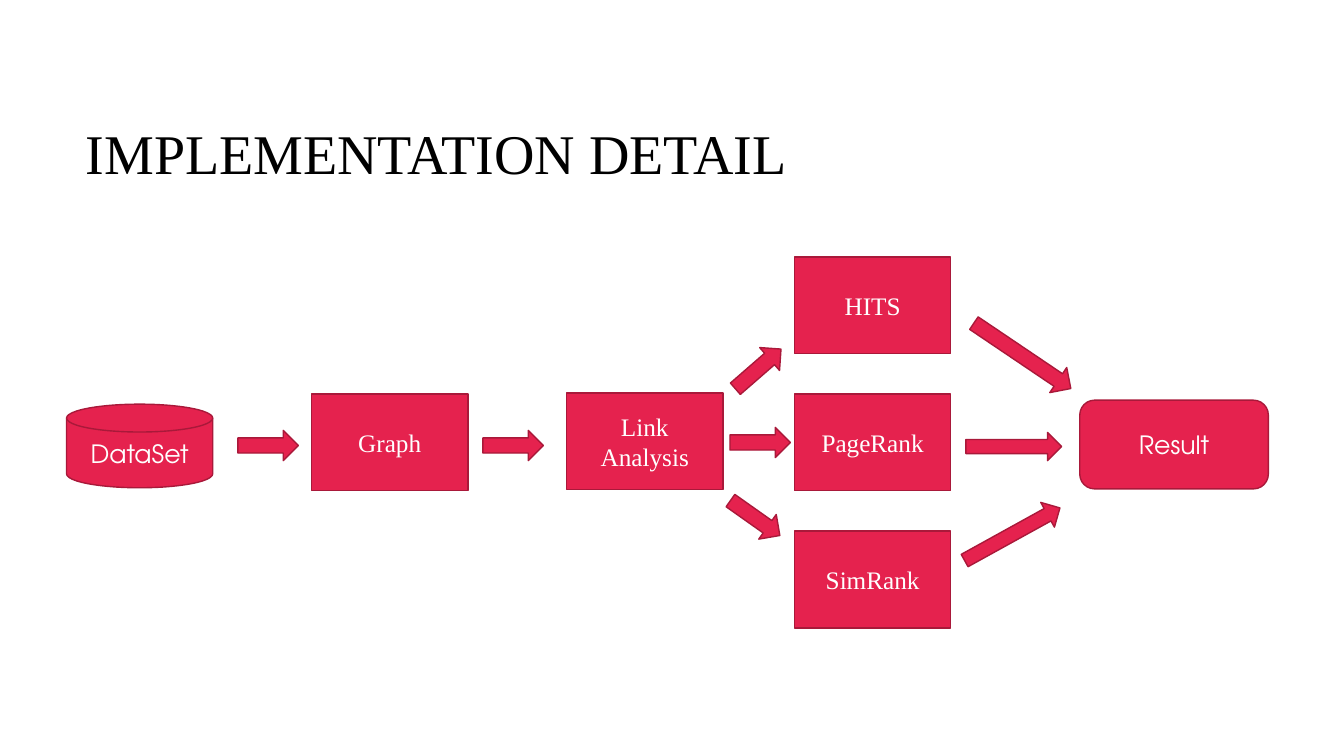
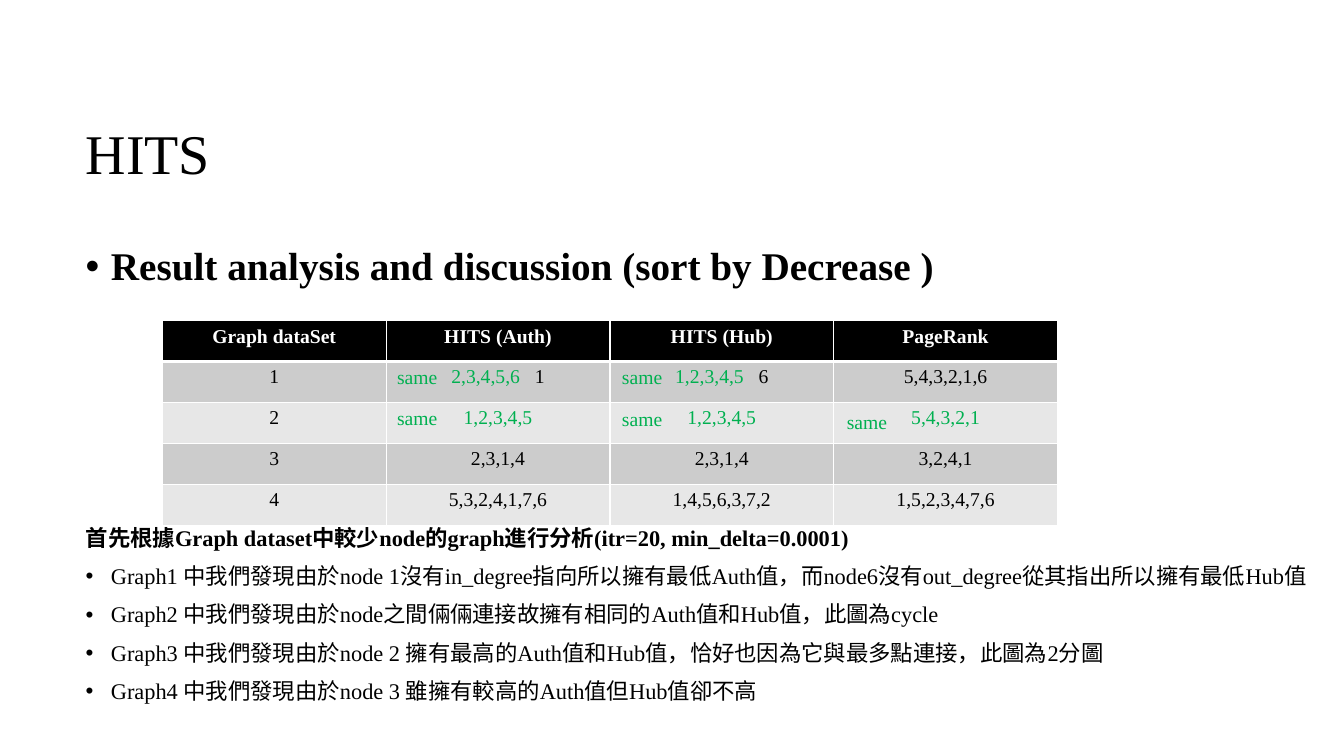
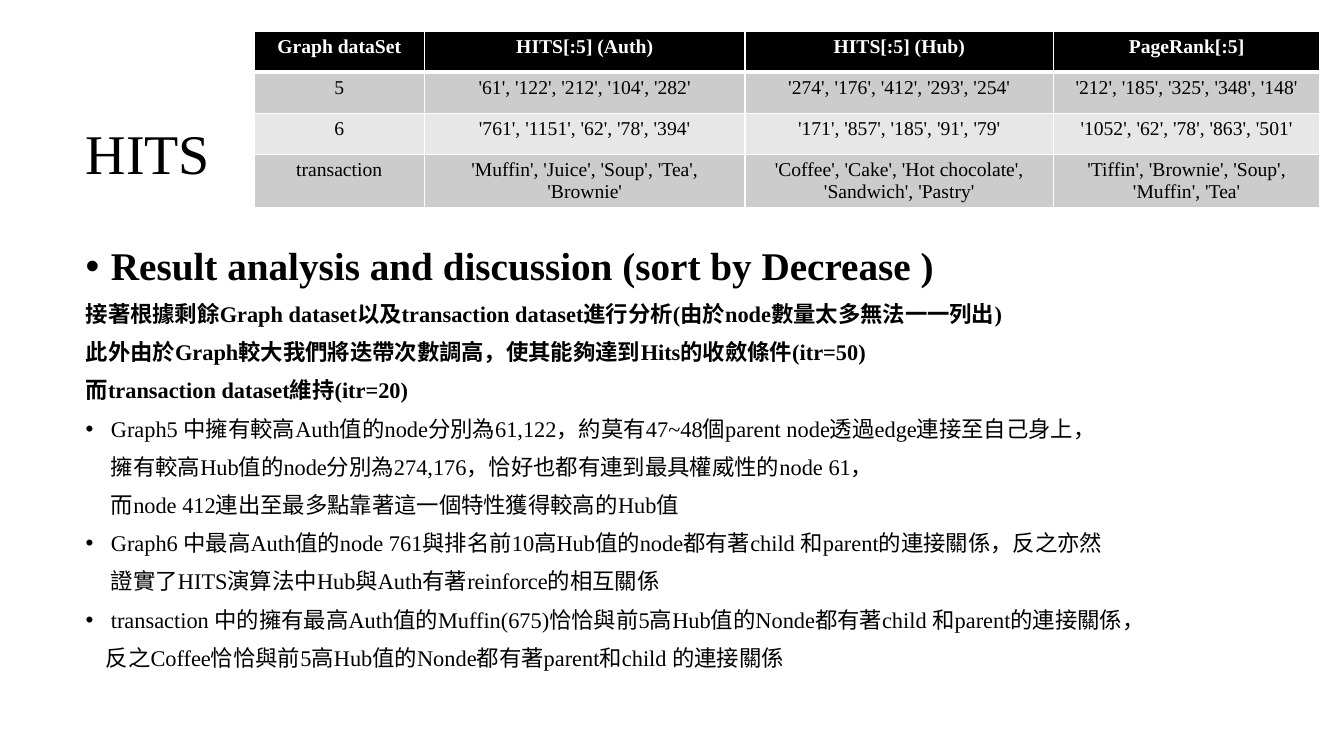
from lxml.etree import SubElement
from pptx import Presentation
from pptx.dml.color import RGBColor
from pptx.enum.shapes import MSO_SHAPE
from pptx.enum.text import MSO_ANCHOR, MSO_AUTO_SIZE, PP_ALIGN
from pptx.oxml.ns import qn
from pptx.util import Inches, Pt

BLACK = RGBColor(0x00, 0x00, 0x00)
WHITE = RGBColor(0xFF, 0xFF, 0xFF)
CRIMSON = RGBColor(0xE5, 0x22, 0x4E)
DARK_CRIMSON = RGBColor(0xA9, 0x19, 0x3A)
GREEN = RGBColor(0x00, 0xB0, 0x50)
BAND_DARK = RGBColor(0xCC, 0xCC, 0xCC)
BAND_LIGHT = RGBColor(0xE7, 0xE7, 0xE7)
SERIF = "Times New Roman"
SANS = "TeX Gyre Adventor"
TITLE_ONLY, TITLE_AND_BODY = 5, 1
HEADING = "Result analysis and discussion (sort by Decrease )"


class Deck:
    """Holds the shared style and the current slide."""

    def __init__(self):
        self.presentation = Presentation()
        self.presentation.slide_width = Inches(13.33)
        self.presentation.slide_height = Inches(7.5)
        self.slide = None

    def format_runs(self, paragraph, size, color=BLACK, bold=False, name=SERIF):
        for run in paragraph.runs:
            run.font.size = Pt(size)
            run.font.name = name
            run.font.bold = bold
            run.font.color.rgb = color

    def place(self, shape, left, top, width, height):
        shape.left, shape.top = Inches(left), Inches(top)
        shape.width, shape.height = Inches(width), Inches(height)

    def add_slide(self, title, layout):
        layouts = self.presentation.slide_layouts
        self.slide = self.presentation.slides.add_slide(layouts[layout])
        shape = self.slide.shapes.title
        self.place(shape, 0.75, 0.85, 11.83, 1.41)
        frame = shape.text_frame
        frame.text = title
        frame.auto_size = MSO_AUTO_SIZE.NONE
        frame.vertical_anchor = MSO_ANCHOR.MIDDLE
        paragraph = frame.paragraphs[0]
        paragraph.alignment = PP_ALIGN.LEFT
        paragraph.line_spacing = 0.9
        self.format_runs(paragraph, 40)

    def add_body(self, lines, gap_after_heading=10):
        """Fill the body with the heading and (kind, text) lines."""
        shape = self.slide.placeholders[1]
        self.place(shape, 0.75, 2.4, 12.58, 4.81)
        frame = shape.text_frame
        frame.auto_size = MSO_AUTO_SIZE.NONE
        frame.vertical_anchor = MSO_ANCHOR.TOP
        indents = {"heading": 0.25, "bullet": 0.25, "lead": 0, "more": 0.25, "last": 0.2}
        for index, (kind, text) in enumerate([("heading", HEADING), *lines]):
            paragraph = frame.paragraphs[0] if index == 0 else frame.add_paragraph()
            paragraph.text = text
            paragraph.alignment = PP_ALIGN.LEFT
            paragraph.line_spacing = 0.9
            paragraph.space_before = Pt(gap_after_heading if index == 1 else 10)
            self.format_runs(paragraph, 28 if kind == "heading" else 16,
                             bold=kind in ("heading", "lead"))
            self.set_bullet(paragraph, indents[kind], kind in ("heading", "bullet"))

    def set_bullet(self, paragraph, indent, bulleted):
        properties = paragraph._p.get_or_add_pPr()
        properties.set("marL", str(Inches(indent)))
        properties.set("indent", str(-Inches(indent) if bulleted else 0))
        if bulleted:
            SubElement(properties, qn("a:buFont"), typeface="Arial")
            SubElement(properties, qn("a:buChar"), char="•")
        else:
            SubElement(properties, qn("a:buNone"))

    def add_block(self, kind, left, top, width, height, text="", name=SERIF, rotation=0):
        shape = self.slide.shapes.add_shape(
            kind, Inches(left), Inches(top), Inches(width), Inches(height))
        shape.shadow.inherit = False
        shape.rotation = rotation
        shape.fill.solid()
        shape.fill.fore_color.rgb = CRIMSON
        shape.line.color.rgb = DARK_CRIMSON
        shape.line.width = Pt(1)
        if text:
            shape.text_frame.text = text
            shape.text_frame.vertical_anchor = MSO_ANCHOR.MIDDLE
            paragraph = shape.text_frame.paragraphs[0]
            paragraph.alignment = PP_ALIGN.CENTER
            self.format_runs(paragraph, 18, WHITE, name=name)

    def add_step(self, text, left, top):
        self.add_block(MSO_SHAPE.RECTANGLE, left, top, 1.55, 0.96, text)

    def add_arrow(self, left, top, width=0.6, height=0.3, rotation=0):
        self.add_block(MSO_SHAPE.RIGHT_ARROW, left, top, width, height, rotation=rotation)

    def add_label(self, text, left, top):
        shape = self.slide.shapes.add_textbox(
            Inches(left), Inches(top), Inches(0.61), Inches(0.34))
        shape.text_frame.text = text
        shape.text_frame.word_wrap = False
        self.format_runs(shape.text_frame.paragraphs[0], 14, GREEN)

    def add_table(self, left, top, widths, height, rows):
        """Add a table; a tuple cell holds a green part and a black part."""
        table = self.slide.shapes.add_table(
            len(rows), len(widths), Inches(left), Inches(top),
            Inches(sum(widths)), Inches(height)).table
        for column, width in zip(table.columns, widths):
            column.width = Inches(width)
        for row_index, row in enumerate(rows):
            for column_index, content in enumerate(row):
                self.fill_cell(table.cell(row_index, column_index), row_index, content)

    def fill_cell(self, cell, row_index, content):
        self.set_borders(cell, row_index)
        cell.fill.solid()
        band = BAND_DARK if row_index % 2 else BAND_LIGHT
        cell.fill.fore_color.rgb = band if row_index else BLACK
        paragraph = cell.text_frame.paragraphs[0]
        paragraph.alignment = PP_ALIGN.CENTER
        green, black = content if isinstance(content, tuple) else ("", content)
        paragraph.text = green or black
        color = GREEN if green else BLACK if row_index else WHITE
        self.format_runs(paragraph, 14, color, bold=row_index == 0)
        if green and black:
            gap, rest = paragraph.add_run(), paragraph.add_run()
            gap.text, rest.text = " ", black
            self.format_runs(paragraph, 14)
            paragraph.runs[0].font.color.rgb = GREEN
            gap.font._element.set("spc", "700")

    def set_borders(self, cell, row_index):
        properties = cell._tc.get_or_add_tcPr()
        for side in ("lnL", "lnR", "lnT", "lnB"):
            thick = (row_index, side) in ((0, "lnB"), (1, "lnT"))
            line = SubElement(properties, qn(f"a:{side}"), w=str(Pt(3 if thick else 1)))
            fill = SubElement(line, qn("a:solidFill"))
            SubElement(fill, qn("a:srgbClr"), val=str(WHITE))

    def save(self):
        self.presentation.save("out.pptx")


def build_implementation(deck):
    deck.add_slide("IMPLEMENTATION DETAIL", TITLE_ONLY)
    deck.add_block(MSO_SHAPE.FLOWCHART_MAGNETIC_DISK, 0.66, 4.01, 1.45, 0.83, "DataSet", SANS)
    deck.add_step("Graph", 3.09, 3.91)
    deck.add_step("Link Analysis", 5.62, 3.9)
    for index, algorithm in enumerate(("HITS", "PageRank", "SimRank")):
        deck.add_step(algorithm, 7.88, 2.55 + 1.36 * index)
    deck.add_block(MSO_SHAPE.ROUNDED_RECTANGLE, 10.71, 3.97, 1.87, 0.88, "Result", SANS)
    for left, top, rotation in ((2.36, 4.27, 0), (4.79, 4.27, 0), (7.24, 4.24, 0),
                                (7.22, 3.51, 319), (7.19, 4.99, 35.3)):
        deck.add_arrow(left, top, rotation=rotation)
    deck.add_arrow(9.56, 3.38, 1.16, 0.3, 34)
    deck.add_arrow(9.58, 4.29, 0.95, 0.28)
    deck.add_arrow(9.5, 5.16, 1.08, 0.28, 331.1)


def build_small_graphs(deck):
    deck.add_slide("HITS", TITLE_AND_BODY)
    deck.add_body([
        ("lead", "首先根據Graph dataset中較少node的graph進行分析(itr=20, min_delta=0.0001)"),
        ("bullet", "Graph1 中我們發現由於node 1沒有in_degree指向所以擁有最低Auth值，"
                   "而node6沒有out_degree從其指出所以擁有最低Hub值"),
        ("bullet", "Graph2 中我們發現由於node之間倆倆連接故擁有相同的Auth值和Hub值，此圖為cycle"),
        ("bullet", "Graph3 中我們發現由於node 2 擁有最高的Auth值和Hub值，"
                   "恰好也因為它與最多點連接，此圖為2分圖"),
        ("bullet", "Graph4 中我們發現由於node 3 雖擁有較高的Auth值但Hub值卻不高"),
    ], gap_after_heading=170)
    deck.add_table(1.61, 3.18, [2.22] * 4, 2.03, [
        ("Graph dataSet", "HITS (Auth)", "HITS (Hub)", "PageRank"),
        ("1", ("2,3,4,5,6", "1"), ("1,2,3,4,5", "6"), "5,4,3,2,1,6"),
        ("2", ("1,2,3,4,5", ""), ("1,2,3,4,5", ""), ("5,4,3,2,1", "")),
        ("3", "2,3,1,4", "2,3,1,4", "3,2,4,1"),
        ("4", "5,3,2,4,1,7,6", "1,4,5,6,3,7,2", "1,5,2,3,4,7,6"),
    ])
    for left, top in ((3.84, 3.57), (6.07, 3.57), (3.84, 3.98), (6.07, 3.99), (8.3, 4.02)):
        deck.add_label("same", left, top)


def build_large_graphs(deck):
    deck.add_slide("HITS", TITLE_AND_BODY)
    deck.add_body([
        ("lead", "接著根據剩餘Graph dataset以及transaction dataset進行分析"
                 "(由於node數量太多無法一一列出)"),
        ("lead", "此外由於Graph較大我們將迭帶次數調高，使其能夠達到Hits的收斂條件(itr=50)"),
        ("lead", "而transaction dataset維持(itr=20)"),
        ("bullet", "Graph5 中擁有較高Auth值的node分別為61,122，"
                   "約莫有47~48個parent node透過edge連接至自己身上，"),
        ("more", "擁有較高Hub值的node分別為274,176，恰好也都有連到最具權威性的node 61，"),
        ("more", "而node 412連出至最多點靠著這一個特性獲得較高的Hub值"),
        ("bullet", "Graph6 中最高Auth值的node 761與排名前10高Hub值的node都有著"
                   "child 和parent的連接關係，反之亦然"),
        ("more", "證實了HITS演算法中Hub與Auth有著reinforce的相互關係"),
        ("bullet", "transaction 中的擁有最高Auth值的Muffin(675)恰恰與前5高Hub值的Nonde都有著"
                   "child 和parent的連接關係，"),
        ("last", "反之Coffee恰恰與前5高Hub值的Nonde都有著parent和child 的連接關係"),
    ])
    deck.add_table(2.52, 0.31, [1.69, 3.18, 3.06, 2.64], 1.63, [
        ("Graph dataSet", "HITS[:5] (Auth)", "HITS[:5] (Hub)", "PageRank[:5]"),
        ("5", "'61', '122', '212', '104', '282'", "'274', '176', '412', '293', '254'",
         "'212', '185', '325', '348', '148'"),
        ("6", "'761', '1151', '62', '78', '394'", "'171', '857', '185', '91', '79'",
         "'1052', '62', '78', '863', '501'"),
        ("transaction", "'Muffin', 'Juice', 'Soup', 'Tea', 'Brownie'",
         "'Coffee', 'Cake', 'Hot chocolate', 'Sandwich', 'Pastry'",
         "'Tiffin', 'Brownie', 'Soup', 'Muffin', 'Tea'"),
    ])


def main():
    deck = Deck()
    build_implementation(deck)
    build_small_graphs(deck)
    build_large_graphs(deck)
    deck.save()


if __name__ == "__main__":
    main()
